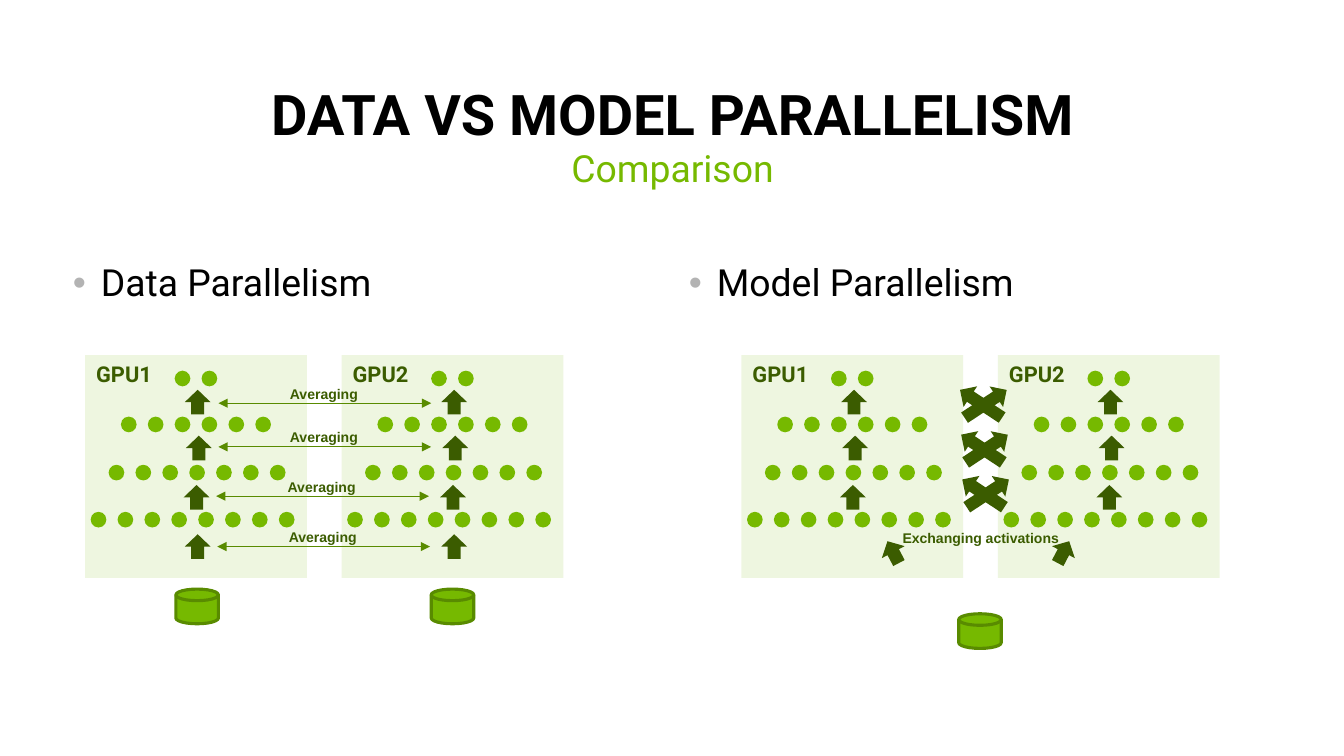
from lxml import etree
from pptx import Presentation
from pptx.dml.color import RGBColor
from pptx.enum.shapes import MSO_CONNECTOR, MSO_SHAPE
from pptx.enum.text import MSO_ANCHOR, MSO_AUTO_SIZE, PP_ALIGN
from pptx.oxml.ns import qn
from pptx.util import Inches, Pt

BLACK = RGBColor(0x00, 0x00, 0x00)
GREEN = RGBColor(0x76, 0xB9, 0x00)
MID_GREEN = RGBColor(0x59, 0x8B, 0x00)
DARK_GREEN = RGBColor(0x3B, 0x5C, 0x00)
BULLET_GRAY = RGBColor(0xB3, 0xB3, 0xB3)


def add_filled(group, kind, left, top, width, height, color, rotation=0):
    shape = group.shapes.add_shape(kind, Inches(left), Inches(top), Inches(width), Inches(height))
    shape.shadow.inherit = False
    shape.fill.solid()
    shape.fill.fore_color.rgb = color
    shape.line.fill.background()
    shape.rotation = rotation
    return shape


def add_label(group, text, left, top, width):
    box = group.shapes.add_textbox(Inches(left), Inches(top), Inches(width), Inches(0.25))
    box.text_frame.word_wrap = False
    box.text_frame.auto_size = MSO_AUTO_SIZE.SHAPE_TO_FIT_TEXT
    para = box.text_frame.paragraphs[0]
    para.text = text
    para.font.name = "Arial"
    para.font.size = Pt(9)
    para.font.bold = True
    para.font.color.rgb = DARK_GREEN


deck = Presentation()
deck.slide_width = Inches(12)
deck.slide_height = Inches(6.75)
page = deck.slides.add_slide(deck.slide_layouts.get_by_name("Comparison"))
fields = {field.placeholder_format.idx: field for field in page.placeholders}

headings = [
    (0, "DATA VS MODEL PARALLELISM", 0.55, 0.72, 10.91, 0.65, 36, BLACK, False),
    (1, "Data Parallelism", 0.55, 2.31, 5.41, 0.57, 24, BLACK, True),
    (2, "Model Parallelism", 6.05, 2.31, 5.41, 0.5, 24, BLACK, True),
    (3, "Comparison", 0.55, 1.29, 10.91, 0.57, 24, GREEN, False),
]
for index, text, left, top, width, height, size, color, bulleted in headings:
    field = fields[index]
    field.left, field.top = Inches(left), Inches(top)
    field.width, field.height = Inches(width), Inches(height)
    frame = field.text_frame
    frame.auto_size = MSO_AUTO_SIZE.NONE
    frame.vertical_anchor = MSO_ANCHOR.TOP if index else MSO_ANCHOR.BOTTOM
    para = frame.paragraphs[0]
    para.text = text
    para.alignment = PP_ALIGN.LEFT if bulleted else PP_ALIGN.CENTER
    para.line_spacing = 0.9
    para.space_before = para.space_after = Pt(9 if index else 0)
    para.font.name = "Roboto"
    para.font.size = Pt(size)
    para.font.bold = index == 0
    para.font.color.rgb = color
    properties = para._p.get_or_add_pPr()
    properties.set("marL", str(Inches(0.25 if bulleted else 0)))
    properties.set("indent", str(Inches(-0.25 if bulleted else 0)))
    font_mark = properties.find(qn("a:defRPr"))
    if bulleted:
        bullet_color = etree.Element(qn("a:buClr"))
        etree.SubElement(bullet_color, qn("a:srgbClr"), val=str(BULLET_GRAY))
        font_mark.addprevious(bullet_color)
        font_mark.addprevious(etree.Element(qn("a:buFont"), typeface="Arial"))
        font_mark.addprevious(etree.Element(qn("a:buChar"), char="•"))
    else:
        font_mark.addprevious(etree.Element(qn("a:buNone")))
fields[4].element.getparent().remove(fields[4].element)

data_group = page.shapes.add_group_shape()
model_group = page.shapes.add_group_shape()
gpus = [
    (data_group, "GPU1", 0.76),
    (data_group, "GPU2", 3.05),
    (model_group, "GPU1", 6.62),
    (model_group, "GPU2", 8.91),
]

for group, name, left in gpus:
    panel = add_filled(group, MSO_SHAPE.RECTANGLE, left, 3.17, 1.98, 1.99, GREEN)
    tint = panel._element.spPr.find(qn("a:solidFill")).find(qn("a:srgbClr"))
    etree.SubElement(tint, qn("a:alpha"), val="12000")
    panel.text_frame.vertical_anchor = MSO_ANCHOR.TOP
    para = panel.text_frame.paragraphs[0]
    para.text = name
    para.alignment = PP_ALIGN.LEFT
    para.font.name = "Roboto"
    para.font.size = Pt(14)
    para.font.bold = True
    para.font.color.rgb = DARK_GREEN

layers = [(2, 0.8, 3.31), (6, 0.32, 3.72), (7, 0.21, 4.15), (8, 0.05, 4.57)]
layer_arrows = [(0.89, 3.48), (0.9, 3.89), (0.88, 4.33)]
disks = [(data_group, 1.57, 5.26), (data_group, 3.85, 5.26), (model_group, 8.56, 5.48)]

for group, name, left in gpus:
    for count, offset, top in layers:
        for neuron in range(count):
            add_filled(group, MSO_SHAPE.OVAL, left + offset + 0.24 * neuron, top, 0.14, 0.14, GREEN)
    arrows = layer_arrows + ([(0.89, 4.77)] if group is data_group else [])
    for offset, top in arrows:
        add_filled(group, MSO_SHAPE.DOWN_ARROW, left + offset, top, 0.23, 0.22, DARK_GREEN, 180)

for group, left, top in disks:
    disk = add_filled(group, MSO_SHAPE.FLOWCHART_MAGNETIC_DISK, left, top, 0.38, 0.31, GREEN)
    disk.line.color.rgb = MID_GREEN
    disk.line.width = Pt(2)

for left, top in [(1.95, 3.6), (1.95, 3.99), (1.93, 4.43), (1.94, 4.88)]:
    link = data_group.shapes.add_connector(
        MSO_CONNECTOR.STRAIGHT, Inches(left), Inches(top), Inches(left + 1.9), Inches(top))
    link.line.color.rgb = MID_GREEN
    link.line.width = Pt(0.75)
    outline = link._element.spPr.find(qn("a:ln"))
    for end in ("a:headEnd", "a:tailEnd"):
        etree.SubElement(outline, qn(end), type="triangle")
    etree.SubElement(link._element.spPr, qn("a:effectLst"))
    add_label(data_group, "Averaging", left + 0.54, top - 0.21, 0.82)

for left, rotation in [(7.86, 152.3), (9.38, 207.7)]:
    add_filled(model_group, MSO_SHAPE.DOWN_ARROW, left, 4.82, 0.23, 0.22, DARK_GREEN, rotation)

for step in range(3):
    for left, rotation in [(8.69, 236.6), (8.65, 123.4)]:
        add_filled(model_group, MSO_SHAPE.DOWN_ARROW, left + 0.01 * step, 3.38 + 0.4 * step,
                   0.22, 0.45, DARK_GREEN, rotation)

add_label(page, "Exchanging activations", 7.96, 4.68, 1.61)

deck.save("out.pptx")
